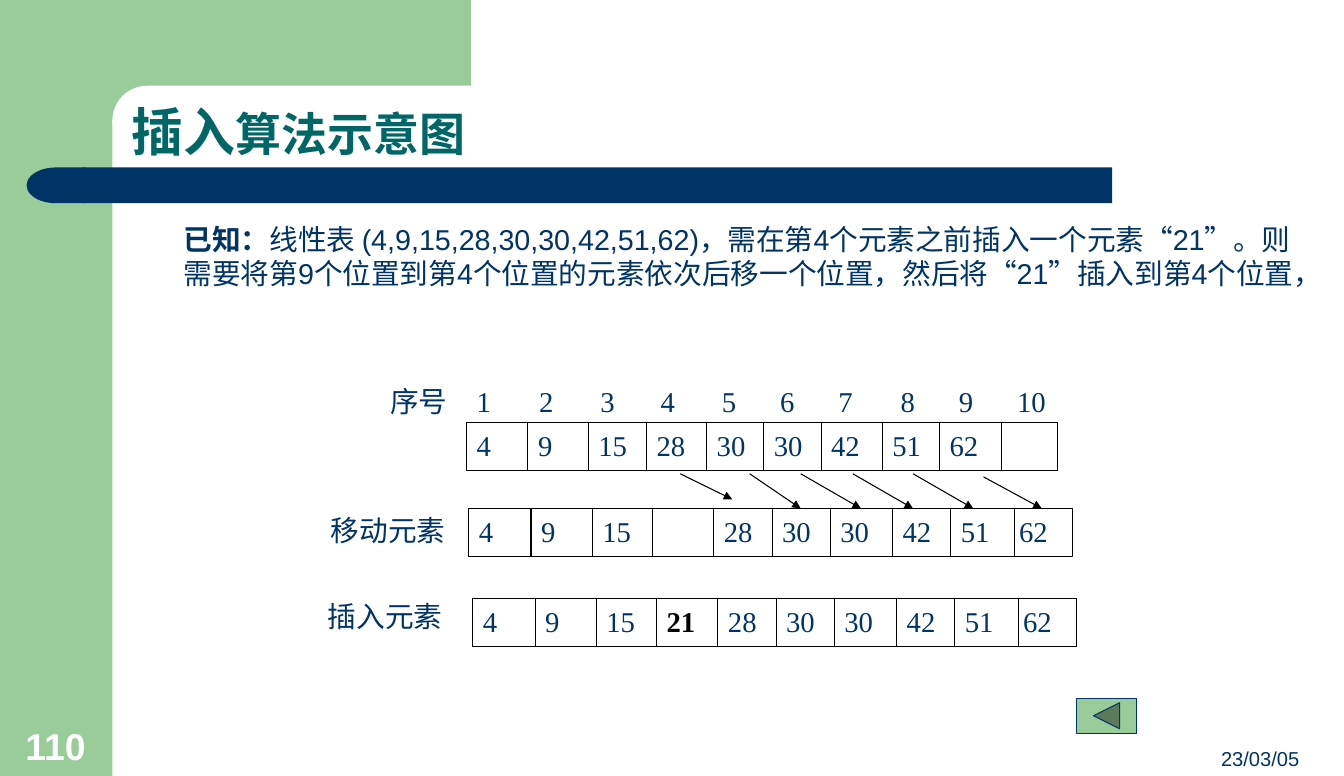
from dataclasses import dataclass
from typing import NamedTuple

from lxml.etree import SubElement
from pptx import Presentation
from pptx.dml.color import RGBColor
from pptx.enum.shapes import MSO_CONNECTOR, MSO_SHAPE
from pptx.enum.text import MSO_ANCHOR, PP_ALIGN
from pptx.oxml.ns import qn
from pptx.shapes.autoshape import Shape
from pptx.slide import Slide
from pptx.util import Emu, Pt

EMU_PER_PX = 9138


@dataclass(frozen=True)
class Theme:
    green: str = "99CC99"
    navy: str = "003366"
    teal: str = "006666"
    white: str = "FFFFFF"
    black: str = "000000"
    sans: str = "Arial"
    serif: str = "Times New Roman"
    chinese: str = "Noto Sans CJK SC"
    title_large: float = 36.5
    title: float = 32.4
    number: float = 26.3
    body: float = 20.2
    date: float = 14.2
    hairline: float = 0.75
    body_leading: float = 24.3


THEME = Theme()


class Box(NamedTuple):
    left: int
    top: int
    width: int
    height: int


class Arrow(NamedTuple):
    x1: int
    y1: int
    x2: int
    y2: int


class Part(NamedTuple):
    text: str
    font: str = THEME.sans
    bold: bool = False


class ListRow(NamedTuple):
    left: int
    top: int
    stretch: float
    values: tuple[str, ...]
    framed: bool = True


class RowLabel(NamedTuple):
    text: str
    box: Box


COLUMNS = (0, 61, 121, 180, 240, 297, 354, 415, 472, 529)
DRAW_ORDER = (0, 1, 2, 3, 4, 5, 6, 7, 9, 8)
CELL_WIDTH, CELL_HEIGHT = 62, 47
INSERTED = "21"

LIST_ROWS = (
    ListRow(457, 371, 1, tuple(str(n) for n in range(1, 11)), framed=False),
    ListRow(457, 414, 0.98, ("4", "9", "15", "28", "30", "30", "42", "51", "62", "")),
    ListRow(459, 498, 1, ("4", "9", "15", "", "28", "30", "30", "42", "51", "62")),
    ListRow(463, 586, 1, ("4", "9", "15", INSERTED, "28", "30", "30", "42", "51", "62")),
)
ROW_LABELS = (
    RowLabel("序号", Box(354, 371, 94, 47)),
    RowLabel("移动元素", Box(298, 497, 148, 52)),
    RowLabel("插入元素", Box(295, 582, 148, 58)),
)
SHIFTS = (
    Arrow(666, 464, 717, 489),
    Arrow(734, 464, 784, 498),
    Arrow(784, 464, 843, 498),
    Arrow(835, 464, 894, 498),
    Arrow(894, 464, 953, 498),
    Arrow(963, 467, 1020, 498),
)
OPENING = Part("“", THEME.serif)
CLOSING = Part("”", THEME.serif)
EXPLANATION = (
    Part("已知：", bold=True),
    Part("线性表 "),
    Part("(4,9,15,28,30,30,42,51,62)"),
    Part("，需在第4个元素之前插入一个元素"),
    OPENING,
    Part(INSERTED),
    CLOSING,
    Part("。则需要将第9个位置到第4个位置的元素依次后移一个位置，然后将"),
    OPENING,
    Part(INSERTED),
    CLOSING,
    Part("插入到第4个位置，"),
)


def px(length: float) -> Emu:
    """Turn px into EMU."""
    return Emu(round(length * EMU_PER_PX))


def draw_shape(slide: Slide, kind: MSO_SHAPE, box: Box, fill: str, line: str = "") -> Shape:
    """Draw a filled preset shape, outlined when a line colour is given."""
    shape = slide.shapes.add_shape(kind, *map(px, box))
    shape.shadow.inherit = False
    shape.fill.solid()
    shape.fill.fore_color.rgb = RGBColor.from_string(fill)
    if line:
        shape.line.color.rgb = RGBColor.from_string(line)
        shape.line.width = Pt(THEME.hairline)
    else:
        shape.line.fill.background()
    return shape


def write(shape: Shape, text: str, *, size: float = THEME.body, color: str = THEME.navy,
          font: str = THEME.serif, bold: bool = False,
          align: PP_ALIGN = PP_ALIGN.LEFT, anchor: MSO_ANCHOR = MSO_ANCHOR.TOP,
          leading: float | Pt | None = None) -> None:
    """Append a formatted run to the first paragraph of a shape."""
    frame = shape.text_frame
    frame.word_wrap = True
    frame.vertical_anchor = anchor
    paragraph = frame.paragraphs[0]
    paragraph.alignment = align
    paragraph.line_spacing = leading
    run = paragraph.add_run()
    run.text = text
    run.font.size = Pt(size)
    run.font.bold = bold
    run.font.name = font
    run.font.color.rgb = RGBColor.from_string(color)
    SubElement(run.font._element, qn("a:ea"), typeface=THEME.chinese)


def add_box(slide: Slide, box: Box) -> Shape:
    """Add an empty text box."""
    return slide.shapes.add_textbox(*map(px, box))


def draw_backdrop(slide: Slide) -> None:
    """Draw the green corner, the white tab and the navy bar."""
    draw_shape(slide, MSO_SHAPE.RECTANGLE, Box(0, 0, 110, 760), THEME.green)
    draw_shape(slide, MSO_SHAPE.RECTANGLE, Box(99, 0, 362, 118), THEME.green)
    tab = draw_shape(slide, MSO_SHAPE.ROUNDED_RECTANGLE, Box(110, 84, 734, 68), THEME.white)
    tab.adjustments[0] = 0.5
    draw_shape(slide, MSO_SHAPE.RECTANGLE, Box(81, 164, 1008, 35), THEME.navy)
    bar_end = draw_shape(slide, MSO_SHAPE.FLOWCHART_DELAY, Box(26, 164, 57, 35), THEME.navy)
    bar_end.rotation = 180


def draw_texts(slide: Slide) -> None:
    """Write the title, the explanation, the date and the slide number."""
    write(add_box(slide, Box(1008, 726, 274, 34)), "23/03/05", size=THEME.date,
          font=THEME.sans, align=PP_ALIGN.RIGHT, anchor=MSO_ANCHOR.BOTTOM)
    write(add_box(slide, Box(15, 703, 84, 54)), "110", size=THEME.number,
          font=THEME.sans, color=THEME.white, bold=True, anchor=MSO_ANCHOR.BOTTOM)
    title = add_box(slide, Box(119, 37, 1151, 127))
    for text, size in (("插入", THEME.title_large), ("算法示意图", THEME.title)):
        write(title, text, size=size, color=THEME.teal, font=THEME.chinese,
              bold=True, anchor=MSO_ANCHOR.BOTTOM, leading=0.9)
    explanation = add_box(slide, Box(170, 212, 1113, 140))
    for part in EXPLANATION:
        write(explanation, part.text, font=part.font, bold=part.bold,
              leading=Pt(THEME.body_leading))


def draw_row(slide: Slide, row: ListRow) -> None:
    """Draw one row of list positions."""
    for column in DRAW_ORDER:
        left = round(row.left + COLUMNS[column] * row.stretch)
        box = Box(left, row.top, round(CELL_WIDTH * row.stretch), CELL_HEIGHT)
        value = row.values[column]
        if row.framed:
            cell = draw_shape(slide, MSO_SHAPE.RECTANGLE, box, THEME.white, THEME.black)
        else:
            cell = add_box(slide, box)
        if value:
            inserted = value == INSERTED
            write(cell, value, bold=inserted, align=PP_ALIGN.JUSTIFY,
                  color=THEME.black if inserted else THEME.navy)


def draw_arrow(slide: Slide, arrow: Arrow) -> None:
    """Draw a thin arrow with a triangular head."""
    line = slide.shapes.add_connector(MSO_CONNECTOR.STRAIGHT, *map(px, arrow))
    line.line.color.rgb = RGBColor.from_string(THEME.black)
    line.line.width = Pt(THEME.hairline)
    SubElement(line.line._get_or_add_ln(), qn("a:tailEnd"), type="triangle")
    SubElement(line._element.spPr, qn("a:effectLst"))


def main() -> None:
    """Build the slide and save it."""
    presentation = Presentation()
    presentation.slide_width, presentation.slide_height = px(1316), px(760)
    slide = presentation.slides.add_slide(presentation.slide_layouts[6])
    draw_backdrop(slide)
    draw_texts(slide)
    for label in ROW_LABELS:
        write(draw_shape(slide, MSO_SHAPE.RECTANGLE, label.box, THEME.white), label.text,
              align=PP_ALIGN.RIGHT, leading=Pt(THEME.body_leading))
    for row in LIST_ROWS:
        draw_row(slide, row)
    for arrow in SHIFTS:
        draw_arrow(slide, arrow)
    draw_shape(slide, MSO_SHAPE.ACTION_BUTTON_BACK_OR_PREVIOUS, Box(1054, 684, 59, 34),
               THEME.green, THEME.navy)
    presentation.save("out.pptx")


if __name__ == "__main__":
    main()
